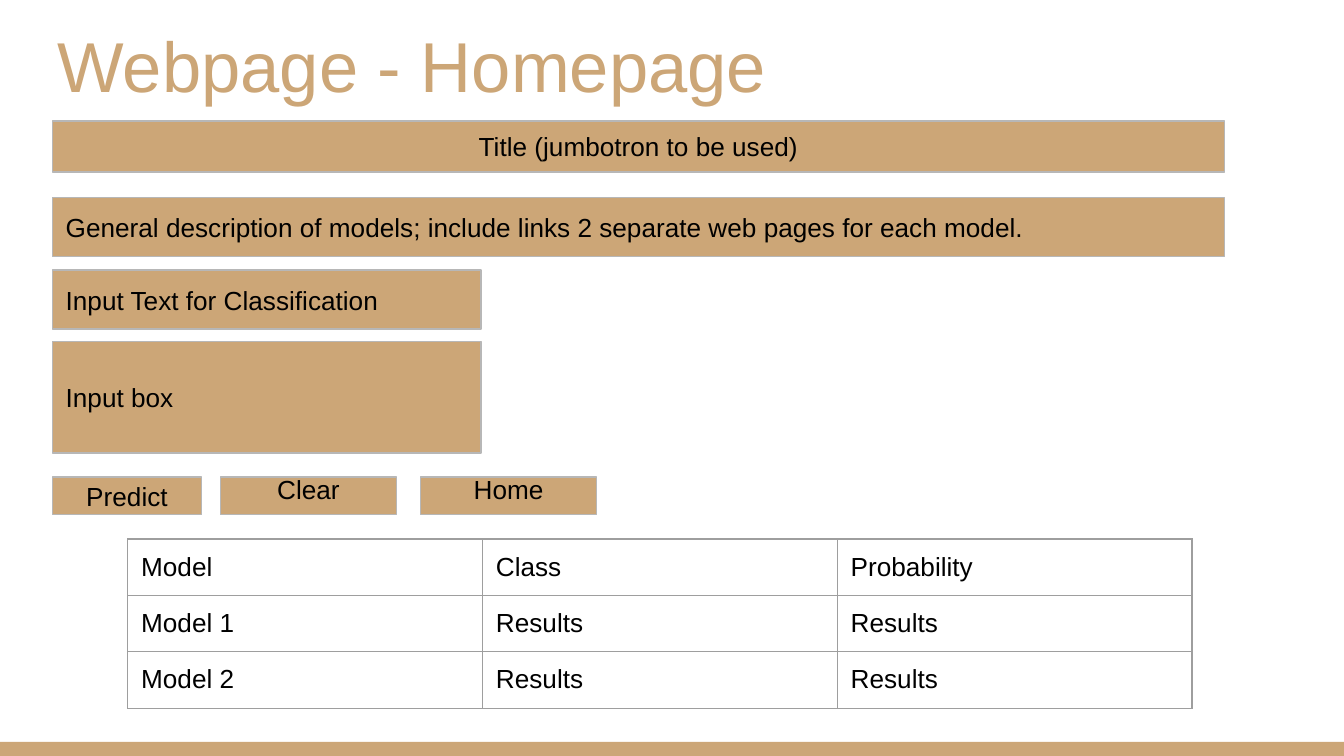
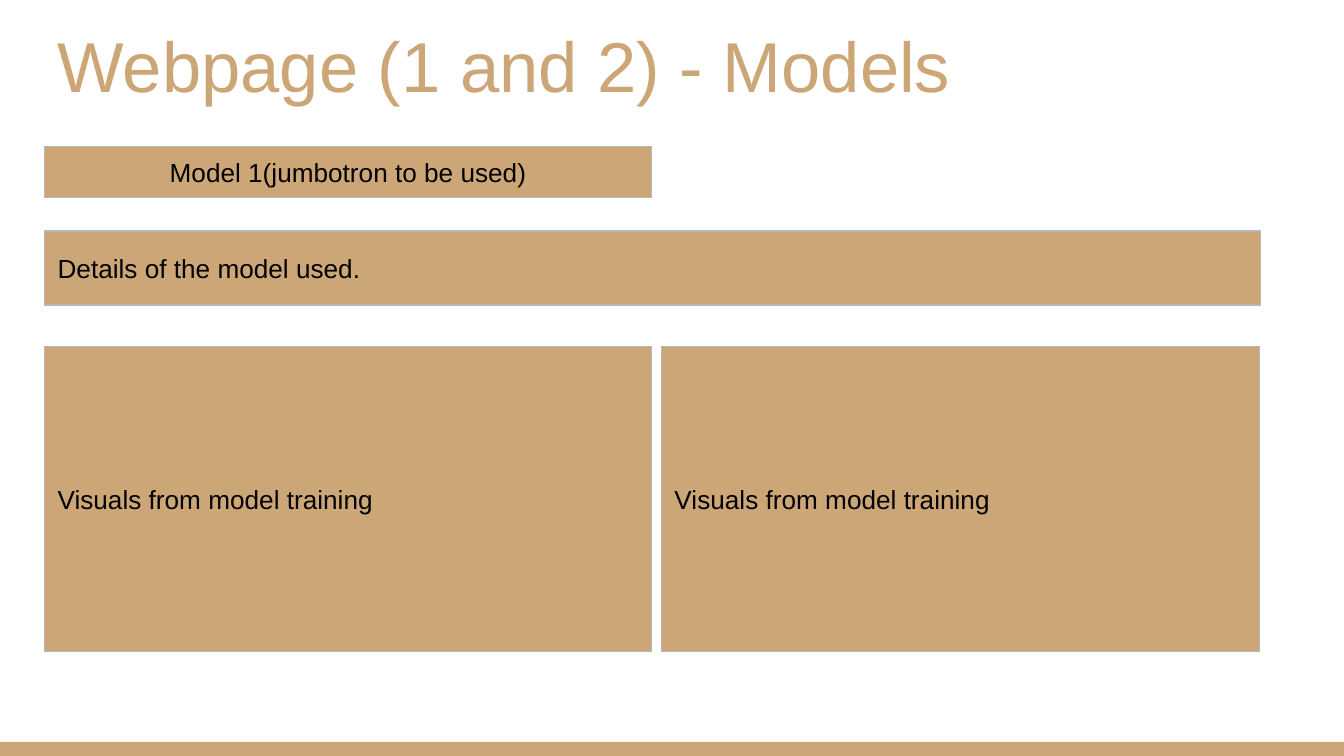
from pptx import Presentation
from pptx import util as u
from pptx.dml.color import RGBColor
from pptx.enum import shapes, text
from pptx.oxml import xmlchemy

TAN = RGBColor(0xCC, 0xA6, 0x77)
OUTLINE = RGBColor(0xB7, 0xB7, 0xB7)
GRID = RGBColor(0x9E, 0x9E, 0x9E)
BLACK = RGBColor(0, 0, 0)
FONT = "Arial"
WIDTH = 10
HEIGHT = WIDTH * 9 / 16
INSET = 0.1
LINE_WIDTH = 0.75


def set_text(frame, words, size=14, color=BLACK, align=text.PP_ALIGN.LEFT):
    para = frame.paragraphs[0]
    para.alignment = align
    span = para.add_run()
    span.text = words
    span.font.name = FONT
    span.font.size = u.Pt(size)
    span.font.color.rgb = color


def set_frame(frame, anchor, top_inset=INSET):
    frame.word_wrap = True
    frame.vertical_anchor = anchor
    frame.margin_left = frame.margin_right = frame.margin_bottom = u.Inches(INSET)
    frame.margin_top = u.Inches(top_inset)


def add_rectangle(page, left, top, width, height):
    box = page.shapes.add_shape(shapes.MSO_SHAPE.RECTANGLE, u.Inches(left),
                                u.Inches(top), u.Inches(width), u.Inches(height))
    box.shadow.inherit = False
    box.fill.solid()
    box.fill.fore_color.rgb = TAN
    box.line.fill.background()
    return box


def add_block(page, words, left, top, width, height, centered=False, top_inset=INSET):
    """Add one labelled part of the page mock-up."""
    box = add_rectangle(page, left, top, width, height)
    box.line.color.rgb = OUTLINE
    box.line.width = u.Pt(LINE_WIDTH)
    set_frame(box.text_frame, text.MSO_ANCHOR.MIDDLE, top_inset)
    align = text.PP_ALIGN.CENTER if centered else text.PP_ALIGN.LEFT
    set_text(box.text_frame, words, align=align)


def add_page(deck, title):
    """Add a blank page with the shared footer band and title."""
    page = deck.slides.add_slide(deck.slide_layouts[6])
    add_rectangle(page, 0, 5.52, WIDTH, 0.11)
    box = page.shapes.add_textbox(u.Inches(0.33), u.Inches(0.14),
                                  u.Inches(9.15), u.Inches(0.75))
    set_frame(box.text_frame, text.MSO_ANCHOR.BOTTOM)
    set_text(box.text_frame, title, 37.8, TAN)
    return page


def set_borders(cell):
    properties = cell._tc.get_or_add_tcPr()
    for position, side in enumerate(("lnL", "lnR", "lnT", "lnB")):
        line = xmlchemy.OxmlElement(f"a:{side}")
        line.set("w", str(u.Pt(LINE_WIDTH)))
        fill = xmlchemy.OxmlElement("a:solidFill")
        color = xmlchemy.OxmlElement("a:srgbClr")
        color.set("val", str(GRID))
        fill.append(color)
        line.append(fill)
        properties.insert(position, line)


def add_results_table(page, rows, left, top, column_width, row_height):
    columns = len(rows[0])
    table = page.shapes.add_table(
        len(rows), columns, u.Inches(left), u.Inches(top),
        u.Inches(column_width * columns), u.Inches(row_height * len(rows))).table
    table.first_row = table.horz_banding = False
    for column in table.columns:
        column.width = u.Inches(column_width)
    for row, labels in zip(table.rows, rows):
        row.height = u.Inches(row_height)
        for cell, label in zip(row.cells, labels):
            cell.fill.background()
            cell.margin_left = cell.margin_right = cell.margin_top = u.Inches(INSET)
            cell.margin_bottom = u.Inches(0.08)
            set_text(cell.text_frame, label)
            set_borders(cell)


def build_homepage(deck):
    page = add_page(deck, "Webpage - Homepage")
    left, full, narrow = 0.39, 8.72, 3.19
    add_block(page, "Title (jumbotron to be used)", left, 0.9, full, 0.38, centered=True)
    add_block(page, "General description of models; include links 2 separate "
                    "web pages for each model.", left, 1.47, full, 0.44)
    add_block(page, "Input Text for Classification", left, 2.01, narrow, 0.44)
    add_block(page, "Input box", left, 2.54, narrow, 0.83)
    buttons = (("Predict", left, 1.11, INSET), ("Clear", 1.64, 1.31, 0), ("Home", 3.13, 1.31, 0))
    for label, button_left, width, top_inset in buttons:
        add_block(page, label, button_left, 3.55, width, 0.28, True, top_inset)
    rows = [("Model", "Class", "Probability"),
            ("Model 1", "Results", "Results"),
            ("Model 2", "Results", "Results")]
    add_results_table(page, rows, 0.95, 4.01, 2.64, 0.42)


def build_models(deck):
    page = add_page(deck, "Webpage (1 and 2) - Models")
    left, half = 0.33, 4.52
    add_block(page, "Model 1(jumbotron to be used)", left, 1.09, half, 0.38, centered=True)
    add_block(page, "Details of the model used.", left, 1.72, 9.05, 0.55)
    for visual_left, width in ((left, half), (4.92, 4.45)):
        add_block(page, "Visuals from model training", visual_left, 2.58, width, 2.27)


def main():
    deck = Presentation()
    deck.slide_width, deck.slide_height = u.Inches(WIDTH), u.Inches(HEIGHT)
    build_homepage(deck)
    build_models(deck)
    deck.save("out.pptx")


if __name__ == "__main__":
    main()
